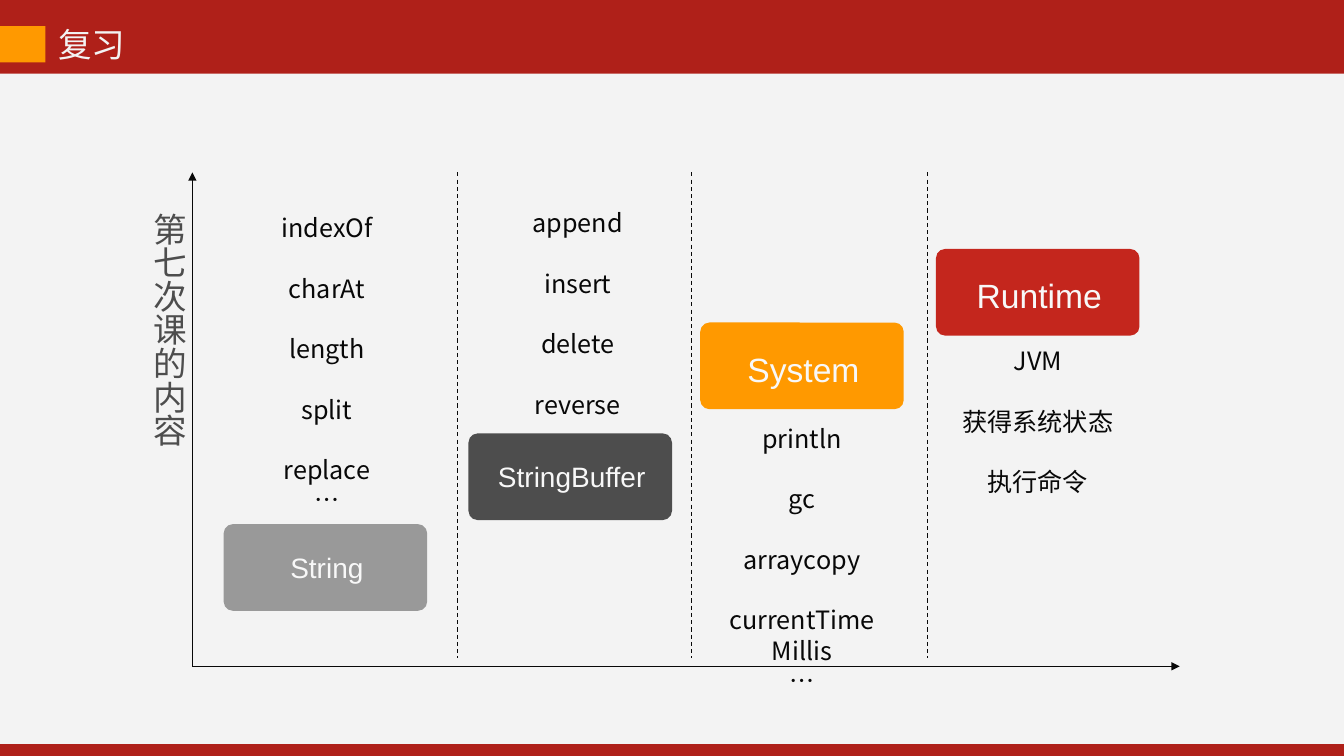
from lxml.etree import SubElement
from pptx import Presentation
from pptx.dml.color import RGBColor
from pptx.enum.dml import MSO_LINE
from pptx.enum.shapes import MSO_CONNECTOR as CONNECTOR, MSO_SHAPE as SHAPE
from pptx.enum.text import PP_ALIGN as ALIGN
from pptx.oxml.ns import qn
from pptx.util import Inches, Pt

COLUMNS, ROWS = 133.4, 75
CJK = "Noto Sans CJK SC"
RED, ORANGE, PANEL, INK, SLATE, PALE = "AF2019", "FF9900", "F3F3F3", "080808", "4D4D4D", "F8F8F8"


def color(value):
    return RGBColor.from_string(value)


class Deck:
    """Draws styled elements on a slide measured in grid columns and rows."""

    def __init__(self, background):
        self.presentation = Presentation()
        self.presentation.slide_width = Inches(13.34)
        self.presentation.slide_height = Inches(7.5)
        self.slide = self.presentation.slides.add_slide(self.presentation.slide_layouts[6])
        fill = self.slide.background.fill
        fill.solid()
        fill.fore_color.rgb = color(background)

    def place(self, *lengths):
        sizes = (self.presentation.slide_width / COLUMNS, self.presentation.slide_height / ROWS)
        return [round(length * sizes[index % 2]) for index, length in enumerate(lengths)]

    def block(self, kind, box, fill):
        shape = self.slide.shapes.add_shape(kind, *self.place(*box))
        shape.shadow.inherit = False
        shape.fill.solid()
        shape.fill.fore_color.rgb = color(fill)
        shape.line.fill.background()
        return shape

    def text(self, box, lines, size, ink, font=CJK, align=ALIGN.CENTER, gap=0, wrap=True):
        shape = self.slide.shapes.add_textbox(*self.place(*box))
        frame = shape.text_frame
        frame.word_wrap = wrap
        frame.text = "\n".join(lines)
        for index, paragraph in enumerate(frame.paragraphs):
            paragraph.alignment = align
            paragraph.line_spacing = Pt(size * 1.2)
            if index and lines[index] != "…":
                paragraph.space_before = Pt(gap)
            paragraph.font.size = Pt(size)
            paragraph.font.color.rgb = color(ink)
            paragraph.font.name = font
            properties = paragraph._p.pPr.find(qn("a:defRPr"))
            SubElement(properties, qn("a:ea")).set("typeface", font)
        return shape

    def vertical_text(self, box, line, size, ink):
        shape = self.text(box, [line], size, ink, align=ALIGN.LEFT)
        shape.text_frame._txBody.bodyPr.set("vert", "eaVert")

    def line(self, start, end, dashed=False, arrow=False):
        connector = self.slide.shapes.add_connector(CONNECTOR.STRAIGHT, *self.place(*start, *end))
        connector.line.color.rgb = color(INK)
        connector.line.width = Pt(0.75)
        if dashed:
            connector.line.dash_style = MSO_LINE.DASH
        if arrow:
            SubElement(connector.line._get_or_add_ln(), qn("a:tailEnd")).set("type", "triangle")
        SubElement(connector._element.spPr, qn("a:effectLst"))

    def card(self, left, top, fill, name, size):
        shape = self.block(SHAPE.ROUNDED_RECTANGLE, (left, top, 20.2, 8.6), fill)
        shape.adjustments[0] = 0.106
        self.text((left + 1.3, top + 2.1, 17.9, 4.7), [name], size, PALE, font="Arial")


def main():
    deck = Deck(RED)
    deck.block(SHAPE.RECTANGLE, (0, 7.3, COLUMNS, 66.5), PANEL)
    deck.text((4.8, 1.9, 8.8, 5), ["复习"], 24, PANEL, align=ALIGN.LEFT, wrap=False)
    deck.block(SHAPE.RECTANGLE, (0, 2.6, 4.5, 3.6), ORANGE)

    origin = (19.1, 66.1)
    deck.line(origin, (19.1, 17.1), arrow=True)
    deck.line(origin, (117.1, 66.1), arrow=True)
    for column in (45.4, 68.6, 92.1):
        deck.line((column, 17.1), (column, 65.3), dashed=True)
    deck.vertical_text((13.2, 20.1, 6.1, 27.1), "第七次课的内容", 24, SLATE)

    topics = [
        ((22.2, 52), "999999", "String", 20, (23.1, 20.6, 18.7, 31.3),
         ["indexOf", "charAt", "length", "split", "replace", "…"]),
        ((46.5, 43), SLATE, "StringBuffer", 20, (48, 20.1, 18.7, 22.2),
         ["append", "insert", "delete", "reverse"]),
        ((69.5, 32), ORANGE, "System", 24, (71, 41.5, 17.2, 28.9),
         ["println", "gc", "arraycopy", "currentTimeMillis", "…"]),
        ((92.9, 24.7), "C4261D", "Runtime", 24, (94.4, 33.8, 17.2, 16.2),
         ["JVM", "获得系统状态", "执行命令"]),
    ]
    for corner, fill, name, size, box, members in topics:
        deck.card(*corner, fill, name, size)
        deck.text(box, members, 18, INK, gap=21.6)
    deck.presentation.save("out.pptx")


if __name__ == "__main__":
    main()
